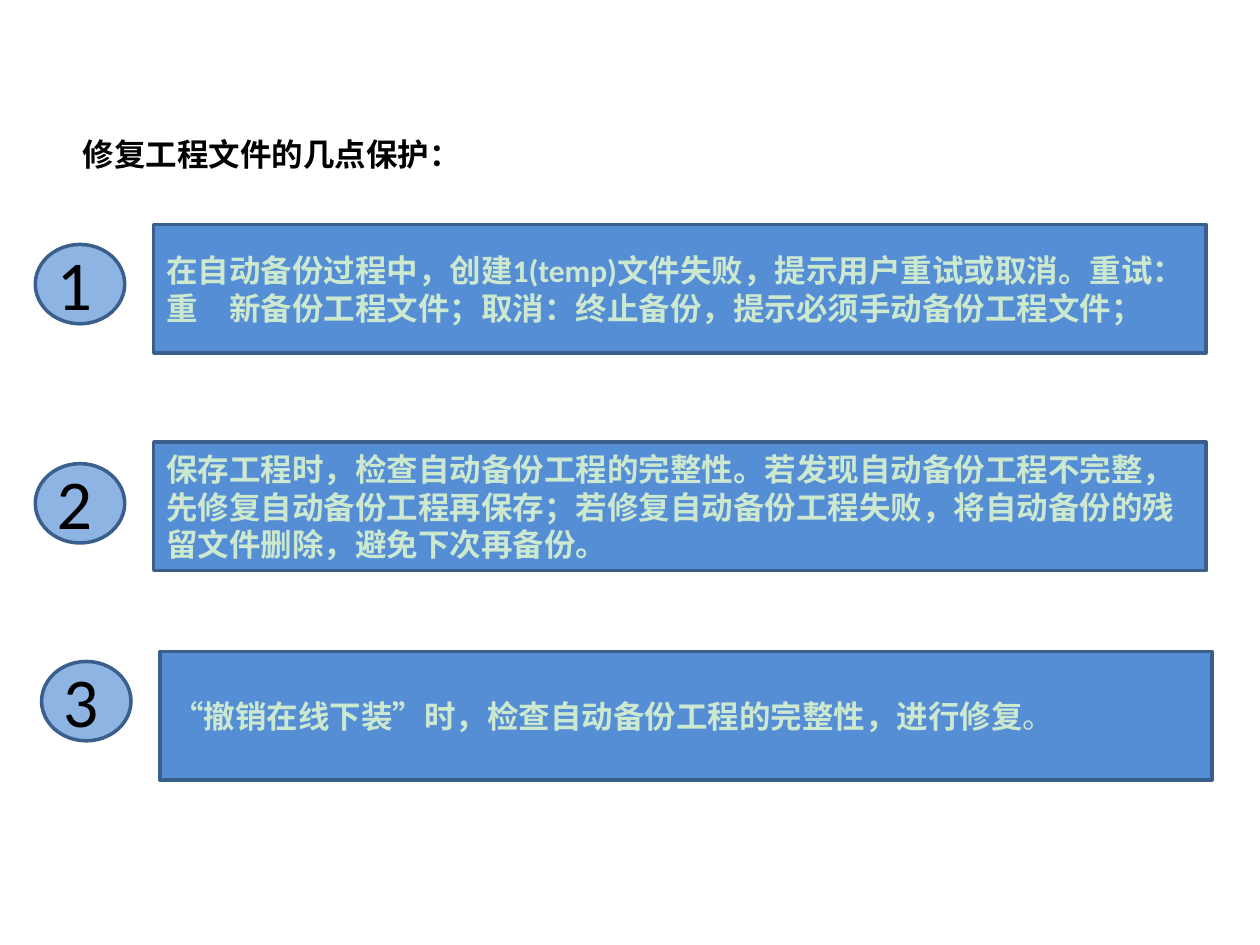
from pptx import Presentation
from pptx.dml.color import RGBColor
from pptx.enum.lang import MSO_LANGUAGE_ID as LANG
from pptx.enum.shapes import MSO_SHAPE as SHAPE
from pptx.enum.text import MSO_ANCHOR as ANCHOR, MSO_AUTO_SIZE as AUTO, PP_ALIGN as ALIGN
from pptx.util import Inches, Pt

BLACK = RGBColor(0x00, 0x00, 0x00)
MINT = RGBColor(0xCC, 0xE8, 0xCF)
BLUE = RGBColor(0x55, 0x8E, 0xD5)
SKY = RGBColor(0x8E, 0xB4, 0xE3)
NAVY = RGBColor(0x3A, 0x5F, 0x8C)
FULL_WIDTH = str.maketrans(",:;", "\uff0c\uff1a\uff1b")


class Board:
    """Draw styled elements on one slide, measured on a grid of 100 columns by 75 rows."""

    COLS, ROWS = 100, 75
    HEADING = dict(size=Pt(18), bold=True, color=BLACK)
    BODY = dict(size=Pt(18), bold=True, color=MINT)
    NUMBER = dict(size=Pt(40), bold=False, color=BLACK)

    def __init__(self, prs):
        self.prs = prs
        self.slide = prs.slides.add_slide(prs.slide_layouts[6])

    def place(self, col, row, cols, rows):
        dx, dy = self.prs.slide_width / self.COLS, self.prs.slide_height / self.ROWS
        return [round(n) for n in (col * dx, row * dy, cols * dx, rows * dy)]

    def add_runs(self, tf, runs, style):
        tf.word_wrap = True
        p = tf.paragraphs[0]
        p.alignment = ALIGN.LEFT
        for text, extra in runs:
            r = p.add_run()
            r.text = text.translate(FULL_WIDTH)
            fmt = dict(name="Calibri", language_id=LANG.SIMPLIFIED_CHINESE, **style) | extra
            r.font.color.rgb = fmt.pop("color")
            for key, value in fmt.items():
                setattr(r.font, key, value)

    def text(self, box, text, style):
        tf = self.slide.shapes.add_textbox(*self.place(*box)).text_frame
        self.add_runs(tf, [(text, {})], style)
        tf.auto_size = AUTO.SHAPE_TO_FIT_TEXT

    def shape(self, kind, box, fill, runs=()):
        sp = self.slide.shapes.add_shape(kind, *self.place(*box))
        sp.shadow.inherit = False
        sp.fill.solid()
        sp.fill.fore_color.rgb = fill
        sp.line.color.rgb = NAVY
        sp.line.width = Pt(2)
        sp.text_frame.vertical_anchor = ANCHOR.MIDDLE
        self.add_runs(sp.text_frame, runs, self.BODY)

    def step(self, number, col, bar_row, badge_row, runs):
        self.shape(SHAPE.RECTANGLE, (col + 9.4, bar_row, 83.5, 10.2), BLUE, runs)
        self.shape(SHAPE.OVAL, (col, badge_row, 7.1, 6.3), SKY)
        self.text((col + 0.7, badge_row - 0.8, 5.5, 7.7), str(number), self.NUMBER)


STEPS = [
    (2.8, 17.8, 19.4, [("在自动备份过程中,创建1(temp)文件失败,提示用户重试或取消。重试:重\u3000新备份工程文件;"
                        "取消:终止备份,提示必须手动备份工程文件;", {})]),
    (2.8, 35.1, 36.8, [("保存工程时,检查自动备份工程的完整性。若发现自动备份工程不完整,先修复自动备份工程再保存;"
                        "若修复自动备份工程失败,将自动备份的残留文件删除,避免下次再备份。", {})]),
    (3.3, 51.7, 52.5, [("\u201c撤销在线下装\u201d时,检查自动备份工程的完整性,进行修复", {}),
                       ("。", dict(bold=False))]),
]

prs = Presentation()
prs.slide_width, prs.slide_height = Inches(10), Inches(7.5)
board = Board(prs)
board.text((5.6, 10.2, 35.4, 4), "修复工程文件的几点保护:", Board.HEADING)
for number, step in enumerate(STEPS, 1):
    board.step(number, *step)
prs.save("out.pptx")
